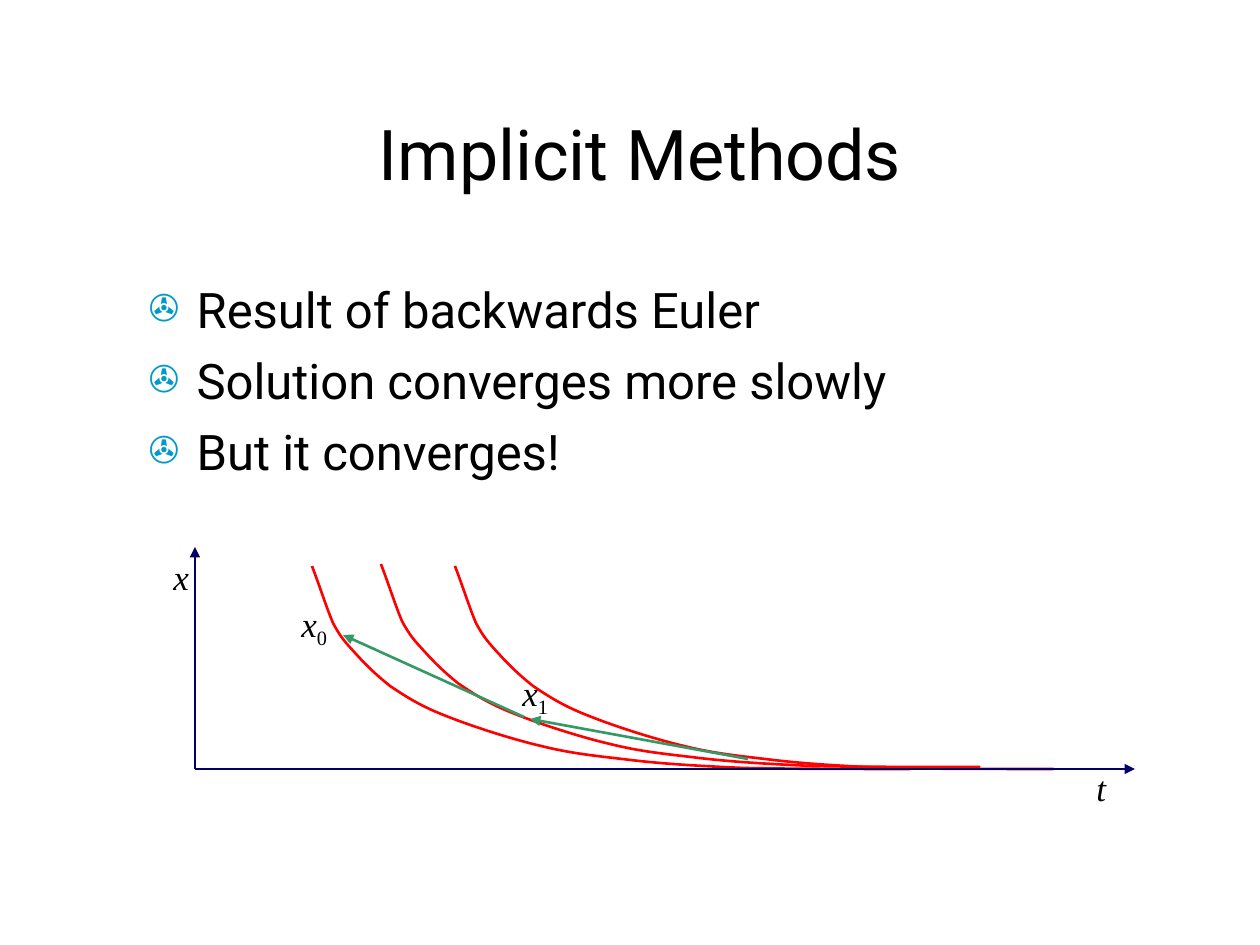
import pptx
import pptx.dml.color
import pptx.enum.shapes
import pptx.enum.text
import pptx.oxml
import pptx.oxml.ns
import pptx.util

EMU_PER_PX = 914400 / 126
COLORS = {
    "text": "000000",
    "bullet": "0099CC",
    "curve": "FF0000",
    "step": "339966",
    "axis": "000066",
}
SANS = "Roboto"
SERIF = "Times New Roman"
CURVE_STARTS = [(455, 566), (312, 566), (381, 564)]
CURVE_OFFSETS = [
    (8, 21), (15, 43), (21, 57),
    (29, 72), (34, 77), (44, 88),
    (53, 98), (63, 108), (78, 120),
    (93, 130), (108, 140), (134, 150),
    (159, 160), (199, 173), (229, 180),
    (261, 188), (285, 190), (318, 194),
    (352, 198), (387, 200), (430, 202),
    (473, 203), (548, 203), (576, 203),
    (604, 203), (600, 203), (596, 203),
]
STEPS = [((343, 635), (524, 717)), ((530, 719), (748, 759))]
AXES = [((195, 769), (1135, 769)), ((195, 769), (195, 547))]
LABELS = [
    ("x", "0", (289, 596, 56, 60)),
    ("x", "1", (510, 665, 56, 60)),
    ("t", "", (1084, 760, 34, 55)),
    ("x", "", (161, 549, 40, 55)),
]
BULLETS = [
    "Result of backwards Euler",
    "Solution converges more slowly",
    "But it converges!",
]


def px(value):
    return pptx.util.Emu(round(value * EMU_PER_PX))


def color(name):
    return pptx.dml.color.RGBColor.from_string(COLORS[name])


def add_element(parent, tag, **attributes):
    element = pptx.oxml.parse_xml(f"<{tag} {pptx.oxml.ns.nsdecls('a')}/>")
    for name, value in attributes.items():
        element.set(name, value)
    parent.append(element)
    return element


def place(shape, box):
    shape.left, shape.top, shape.width, shape.height = map(px, box)


def add_run(paragraph, text, font_name, size, italic=None):
    run = paragraph.add_run()
    run.text = text
    run.font.name = font_name
    run.font.size = pptx.util.Pt(size)
    run.font.italic = italic
    run.font.color.rgb = color("text")
    return run


def style_line(shape, color_name):
    shape.line.color.rgb = color(color_name)
    shape.line.width = pptx.util.Pt(1.5)


def fill_title(slide, text):
    title = slide.shapes.title
    place(title, (136, 53, 1008, 199))
    title.text_frame.vertical_anchor = pptx.enum.text.MSO_ANCHOR.MIDDLE
    paragraph = title.text_frame.paragraphs[0]
    paragraph.alignment = pptx.enum.text.PP_ALIGN.CENTER
    add_run(paragraph, text, SANS, 40)


def fill_body(slide, lines):
    body = slide.placeholders[1]
    place(body, (136, 273, 1008, 546))
    frame = body.text_frame
    for index, line in enumerate(lines):
        paragraph = frame.add_paragraph() if index else frame.paragraphs[0]
        paragraph.space_before = pptx.util.Pt(7)
        properties = paragraph._p.get_or_add_pPr()
        properties.set("marL", str(px(48)))
        properties.set("indent", str(px(-48)))
        bullet_color = add_element(properties, "a:buClr")
        add_element(bullet_color, "a:srgbClr", val=COLORS["bullet"])
        add_element(properties, "a:buSzPct", val="75000")
        add_element(properties, "a:buChar", char="✇")
        add_run(paragraph, line, SANS, 28)


def add_curve(slide, start):
    left, top = start
    points = [(px(left + x), px(top + y)) for x, y in CURVE_OFFSETS]
    builder = slide.shapes.build_freeform(px(left), px(top))
    builder.add_line_segments(points, close=False)
    curve = builder.convert_to_shape()
    curve.shadow.inherit = False
    curve.fill.background()
    style_line(curve, "curve")
    outline = curve._element.find(".//" + pptx.oxml.ns.qn("a:path"))
    segments = outline.findall(pptx.oxml.ns.qn("a:lnTo"))
    for index in range(0, len(segments), 3):
        bezier = add_element(outline, "a:cubicBezTo")
        for segment in segments[index:index + 3]:
            bezier.append(segment[0])
            outline.remove(segment)


def add_arrow(slide, start, end, color_name, arrow_end):
    connector = slide.shapes.add_connector(
        pptx.enum.shapes.MSO_CONNECTOR.STRAIGHT, *map(px, start + end)
    )
    style_line(connector, color_name)
    add_element(connector.line._get_or_add_ln(), arrow_end, type="triangle")
    add_element(connector._element.spPr, "a:effectLst")


def add_label(slide, symbol, subscript, box):
    label = slide.shapes.add_textbox(*map(px, box))
    label.text_frame.word_wrap = False
    label.text_frame.auto_size = pptx.enum.text.MSO_AUTO_SIZE.SHAPE_TO_FIT_TEXT
    paragraph = label.text_frame.paragraphs[0]
    paragraph.space_before = pptx.util.Pt(12.5)
    add_run(paragraph, symbol, SERIF, 20, italic=True)
    if subscript:
        run = add_run(paragraph, subscript, SERIF, 20, italic=False)
        run._r.get_or_add_rPr().set("baseline", "-25000")


def main():
    presentation = pptx.Presentation()
    presentation.slide_width = px(1260)
    presentation.slide_height = px(945)
    slide = presentation.slides.add_slide(presentation.slide_layouts[1])
    fill_title(slide, "Implicit Methods")
    fill_body(slide, BULLETS)
    for start in CURVE_STARTS:
        add_curve(slide, start)
    for start, end in STEPS:
        add_arrow(slide, start, end, "step", "a:headEnd")
    for start, end in AXES:
        add_arrow(slide, start, end, "axis", "a:tailEnd")
    for symbol, subscript, box in LABELS:
        add_label(slide, symbol, subscript, box)
    presentation.save("out.pptx")


if __name__ == "__main__":
    main()
